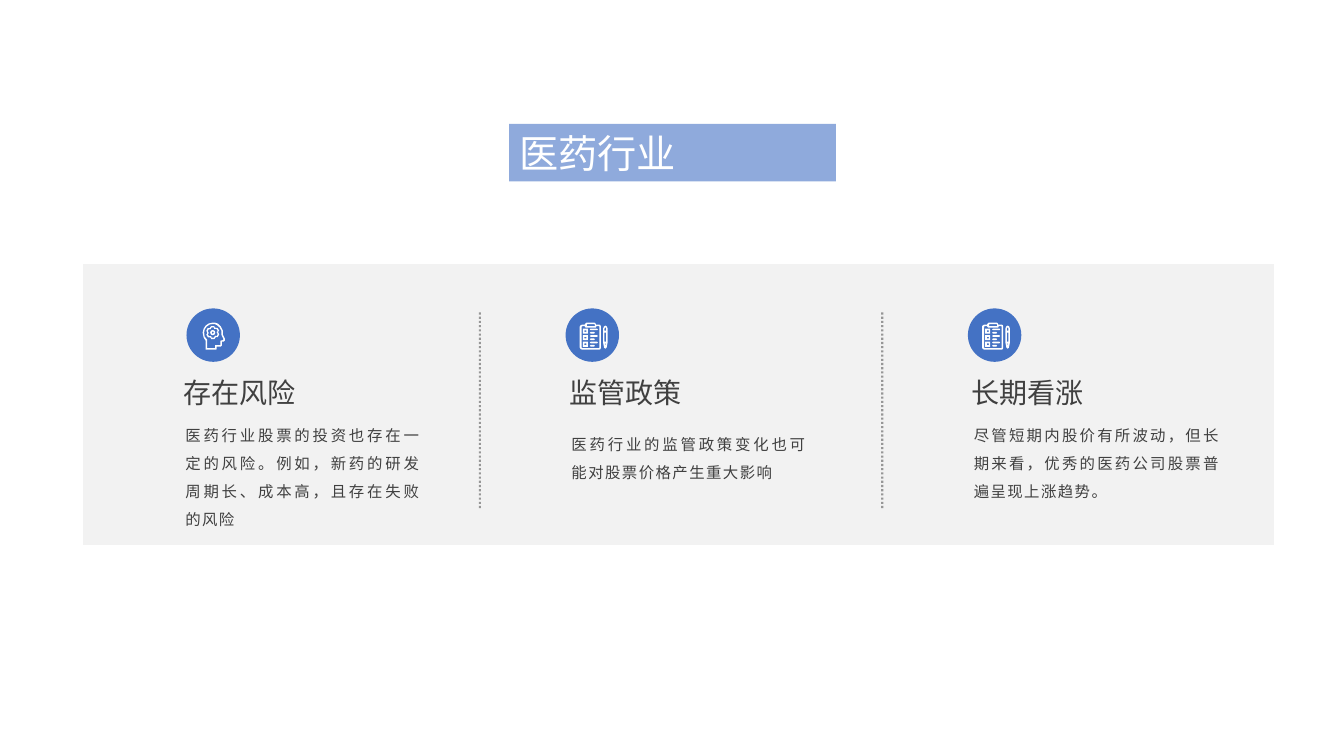
from math import cos, radians, sin
from lxml import etree
from pptx import Presentation, util as u
from pptx.dml.color import RGBColor
from pptx.enum import dml, shapes, text
from pptx.oxml import ns

BLUE = RGBColor(0x44, 0x72, 0xC4)
PALE = RGBColor(0x8F, 0xAA, 0xDC)
GREY = RGBColor(0xF2, 0xF2, 0xF2)
DARK = RGBColor(0x40, 0x40, 0x40)
WHITE = RGBColor(0xFF, 0xFF, 0xFF)
FONT = "Noto Sans CJK SC"
CELL = u.Inches(0.01)
COLS, ROWS = 1333, 750


def write(shape, words, size, color):
    frame = shape.text_frame
    frame.word_wrap = True
    frame.auto_size = text.MSO_AUTO_SIZE.NONE
    frame.vertical_anchor = text.MSO_ANCHOR.MIDDLE
    para = frame.paragraphs[0]
    para.alignment = text.PP_ALIGN.JUSTIFY
    run = para.add_run()
    run.text = words
    run.font.size = u.Pt(size)
    run.font.name = FONT
    run.font.color.rgb = color
    etree.SubElement(run.font._element, ns.qn("a:ea"), typeface=FONT)
    return para, run


def trace(group, left, top, loops):
    spots = [[((left + x) * CELL, (top + y) * CELL) for x, y in loop] for loop in loops]
    pen = group.shapes.build_freeform(*spots[0][0])
    for i, loop in enumerate(spots):
        if i:
            pen.move_to(*loop[0])
        pen.add_line_segments(loop[1:], close=True)
    shape = pen.convert_to_shape()
    shape.shadow.inherit = False
    shape.fill.solid()
    shape.fill.fore_color.rgb = WHITE
    shape.line.fill.background()


HEAD = [
    [(26, 14), (22, 15), (19, 17), (17, 20), (16, 24), (17, 29), (19, 32), (19, 41),
     (29, 41), (30, 40.5), (30, 38), (34, 38), (35, 37), (35, 33), (37, 33), (38, 32),
     (38, 30), (36, 26), (36, 22), (34, 18), (31, 15), (28, 14)],
    [(26, 15.5), (23, 16), (20, 18), (18, 21), (17.5, 24), (18, 28), (20.5, 31),
     (20.5, 39.5), (28.5, 39.5), (28.5, 36.5), (33.5, 36.5), (33.5, 32), (36, 31.5),
     (36.5, 31), (36.5, 30), (34.5, 26), (34.5, 22), (33, 19), (30, 16.5), (28, 15.5)]]
TEETH = [(60 * k + turn, rise) for k in range(6)
         for turn, rise in ((-7, 1.2), (19, 1.2), (27, 0), (33, 0))]
GEAR = [[(26 + (r + rise) * cos(radians(a + 24)), 24 + (r + rise) * sin(radians(a + 24)))
         for a, rise in TEETH] for r in (5.5, 4)]
HUB = [[(26 + r * cos(radians(a)), 24 + r * sin(radians(a)))
        for a in range(0, 360, 20)] for r in (2.5, 1)]
BOARD = [
    [(21, 14), (20, 14.5), (19, 16), (17, 16), (15, 16.5), (14, 18), (14, 39), (15, 40.5),
     (17, 41), (33, 41), (34.5, 40.5), (35, 39), (35, 18), (34.5, 16.5), (33, 16),
     (30, 16), (29.5, 14.5), (28, 14)],
    [(21.5, 15.5), (28, 15.5), (29, 16), (29, 17.5), (21, 17.5), (21, 16)],
    [(33, 17.5), (33.5, 18), (33.5, 39), (33, 39.5), (17, 39.5), (16, 39), (16, 18),
     (17, 17.5), (19, 17.5), (19, 18), (20, 19), (30, 19), (30.5, 18), (30.5, 17.5)]]
PEN = [
    [(39.5, 17), (38, 18), (37.2, 20), (37.2, 34), (38.2, 39), (39.5, 40), (40.7, 39),
     (41.7, 34), (41.7, 20), (41, 18)],
    [(39.5, 18.5), (38.6, 20), (38.6, 22), (40.3, 22), (40.3, 20)],
    [(38.6, 24), (40.3, 24), (40.3, 33), (38.6, 33)],
    [(38.9, 35), (40, 35), (39.5, 37)]]
BOXES = [[[(17, y), (22, y), (22, y + 5), (17, y + 5)],
          [(18.7, y + 1.7), (20.7, y + 1.7), (20.7, y + 3.3), (18.7, y + 3.3)]]
         for y in (20, 26.5, 33)]
BARS = []
for i in range(6):
    y, end = 20 + 3.25 * i, 29 if i % 2 else 32
    BARS.append([[(24.8, y), (24, y + 0.8), (24.8, y + 1.6),
                  (end - 0.8, y + 1.6), (end, y + 0.8), (end - 0.8, y)]])
MIND = [HEAD, GEAR, HUB]
LIST = [BOARD, *BOXES, *BARS, PEN]

deck = Presentation()
deck.slide_width, deck.slide_height = COLS * CELL, ROWS * CELL
slide = deck.slides.add_slide(deck.slide_layouts[5])

title = slide.shapes.title
title.left, title.top, title.width, title.height = [n * CELL for n in (505, 123, 324, 57)]
title.fill.solid()
title.fill.fore_color.rgb = PALE
write(title, "医药行业", 28, WHITE)

panel = slide.shapes.add_shape(
    shapes.MSO_SHAPE.PARALLELOGRAM, *[n * CELL for n in (82, 262, 1182, 279)])
panel.adjustments[0] = 0
panel.shadow.inherit = False
panel.fill.solid()
panel.fill.fore_color.rgb = GREY
panel.line.fill.background()

for x in (476, 875):
    rule = slide.shapes.add_connector(
        shapes.MSO_CONNECTOR.STRAIGHT, *[n * CELL for n in (x, 310, x, 506)])
    rule.line.width = u.Pt(1.5)
    rule.line.dash_style = dml.MSO_LINE.ROUND_DOT
    rule.line.color.rgb = DARK
    tint = rule.line.color._xFill.find(ns.qn("a:srgbClr"))
    etree.SubElement(tint, ns.qn("a:alpha"), val="51000")
    etree.SubElement(rule._element.spPr, ns.qn("a:effectLst"))

POINTS = [
    (174, 408, 253, 91, 185, MIND, "存在风险",
     "医药行业股票的投资也存在一定的风险。例如，新药的研发周期长、成本高，且存在失败的风险"),
    (557, 417, 253, 63, 561, LIST, "监管政策",
     "医药行业的监管政策变化也可能对股票价格产生重大影响"),
    (956, 408, 264, 91, 960, LIST, "长期看涨",
     "尽管短期内股价有所波动，但长期来看，优秀的医药公司股票普遍呈现上涨趋势。")]

for left, top, wide, high, disc, icon, head, body in POINTS:
    box = slide.shapes.add_textbox(*[n * CELL for n in (left, top, wide, high)])
    para, run = write(box, body, 11, DARK)
    box.text_frame.vertical_anchor = text.MSO_ANCHOR.TOP
    para.line_spacing = u.Pt(20)
    run.font._element.set("spc", "100")

    box = slide.shapes.add_textbox(*[n * CELL for n in (left - 2, 367, 221, 44)])
    write(box, head, 20, DARK)

    group = slide.shapes.add_group_shape()
    dot = group.shapes.add_shape(
        shapes.MSO_SHAPE.OVAL, *[n * CELL for n in (disc, 306, 53, 53)])
    dot.shadow.inherit = False
    dot.fill.solid()
    dot.fill.fore_color.rgb = BLUE
    dot.line.fill.background()
    for loops in icon:
        trace(group, disc, 306, loops)

deck.save("out.pptx")
